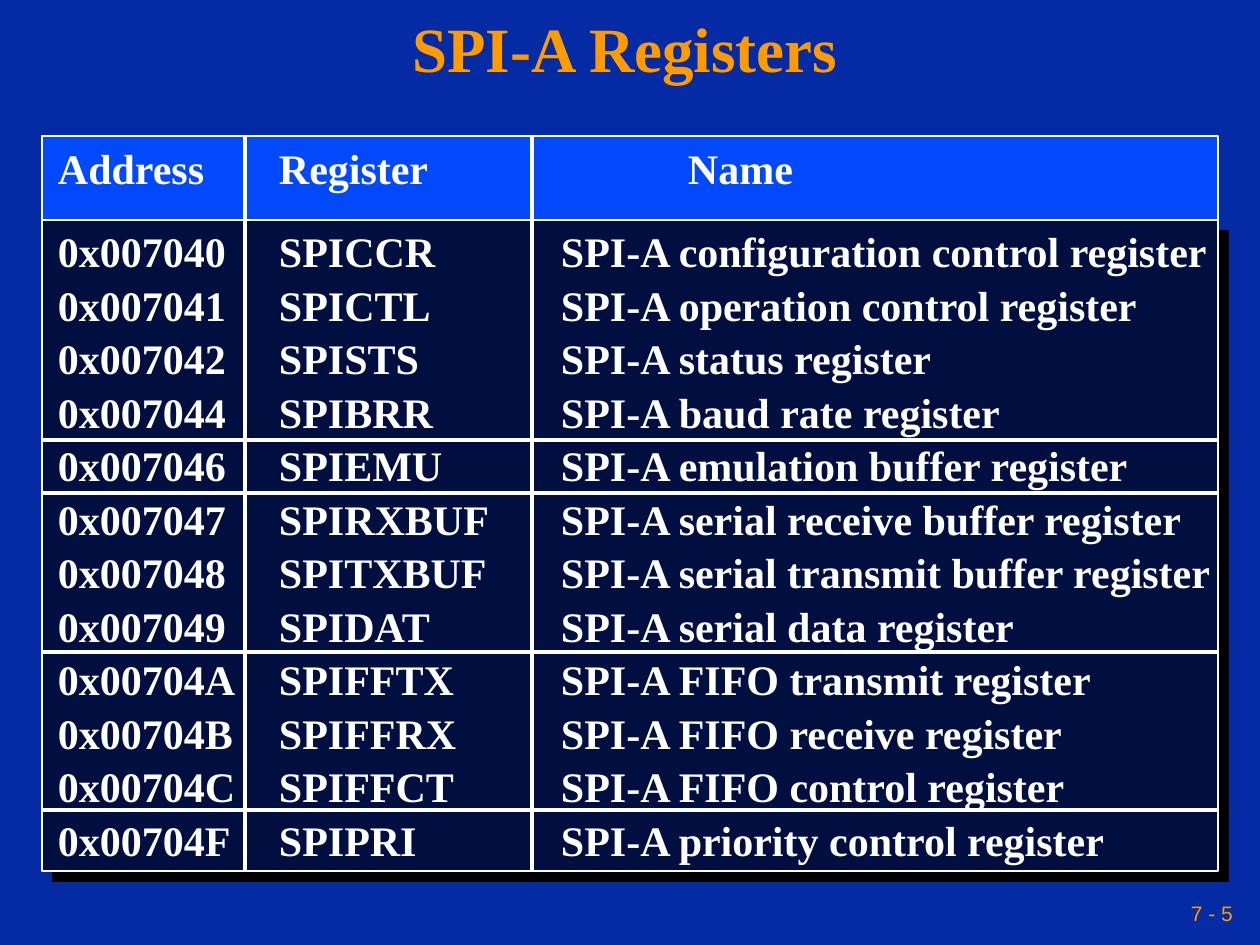
from lxml.etree import SubElement
from pptx import Presentation
from pptx.dml.color import RGBColor
from pptx.enum.shapes import MSO_CONNECTOR as CONNECTOR, MSO_SHAPE as SHAPE
from pptx.enum.text import MSO_ANCHOR as ANCHOR, PP_ALIGN as ALIGN
from pptx.oxml.ns import qn
from pptx.util import Pt

PX = 914400 / 126
ORANGE, WHITE = "FE9B03", "FFFFFF"
SERIF = {"name": "Times New Roman", "bold": True}


def paint(color_format, hex_color):
    color_format.rgb = RGBColor.from_string(hex_color)


def format_text(paragraph, color, font_values, paragraph_values):
    for name, value in paragraph_values.items():
        setattr(paragraph, name, value)
    for name, value in font_values.items():
        setattr(paragraph.font, name, value)
    paint(paragraph.font.color, color)


presentation = Presentation()
presentation.slide_width, presentation.slide_height = round(1260 * PX), round(945 * PX)
slide = presentation.slides.add_slide(presentation.slide_layouts[5])
slide.background.fill.solid()
paint(slide.background.fill.fore_color, "042AA4")

# Header and body panels
panels = []
for top, height, color in [(136, 84, "0249FC"), (220, 651, "000F40")]:
    panel = slide.shapes.add_shape(
        SHAPE.RECTANGLE, *[round(n * PX) for n in (42, top, 1176, height)])
    panel.shadow.inherit = False
    panel.fill.solid()
    paint(panel.fill.fore_color, color)
    paint(panel.line.color, WHITE)
    panel.line.width = Pt(1)
    panels.append(panel)

effects = panels[1].element.spPr.find(qn("a:effectLst"))
shadow = SubElement(effects, qn("a:outerShdw"), dist=str(Pt(8.5)), dir="2700000",
                    algn="ctr", rotWithShape="0")
SubElement(shadow, qn("a:srgbClr"), val="000000")

# Title, register list and page number
title = slide.shapes.title
registers = slide.shapes.add_textbox(0, 0, 0, 0)
page_number = slide.shapes.add_textbox(0, 0, 0, 0)
for shape, box, side, anchor, wrap in [
    (title, (0, 0, 1250, 105), 6, ANCHOR.MIDDLE, True),
    (registers, (45, 136, 1187, 736), 13, ANCHOR.TOP, True),
    (page_number, (861, 892, 378, 42), 6, ANCHOR.MIDDLE, False),
]:
    shape.left, shape.top, shape.width, shape.height = [round(n * PX) for n in box]
    frame = shape.text_frame
    frame.margin_left = frame.margin_right = round(side * PX)
    frame.margin_top = frame.margin_bottom = round(6 * PX)
    frame.vertical_anchor, frame.word_wrap = anchor, wrap

title.text_frame.text = "SPI-A Registers"
format_text(title.text_frame.paragraphs[0], ORANGE, {**SERIF, "size": Pt(36)},
            {"alignment": ALIGN.CENTER, "line_spacing": 0.9})
page_number.text_frame.text = "7 - 5"
format_text(page_number.text_frame.paragraphs[0], ORANGE,
            {"name": "Arial", "size": Pt(12)}, {"alignment": ALIGN.RIGHT})

rows = [
    ("Address", "Register", "Name"),
    ("0x007040", "SPICCR", "SPI-A configuration control register"),
    ("0x007041", "SPICTL", "SPI-A operation control register"),
    ("0x007042", "SPISTS", "SPI-A status register"),
    ("0x007044", "SPIBRR", "SPI-A baud rate register"),
    ("0x007046", "SPIEMU", "SPI-A emulation buffer register"),
    ("0x007047", "SPIRXBUF", "SPI-A serial receive buffer register"),
    ("0x007048", "SPITXBUF", "SPI-A serial transmit buffer register"),
    ("0x007049", "SPIDAT", "SPI-A serial data register"),
    ("0x00704A", "SPIFFTX", "SPI-A FIFO transmit register"),
    ("0x00704B", "SPIFFRX", "SPI-A FIFO receive register"),
    ("0x00704C", "SPIFFCT", "SPI-A FIFO control register"),
    ("0x00704F", "SPIPRI", "SPI-A priority control register"),
]
for index, row in enumerate(rows):
    frame = registers.text_frame
    paragraph = frame.add_paragraph() if index else frame.paragraphs[0]
    paragraph.text = "\t".join(row)
    spacing = {0: 1.0, 1: 1.4}.get(index, 0.8)
    values = {"line_spacing": spacing, "space_before": Pt(7.5 if index else 0)}
    for name, value in values.items():
        setattr(paragraph, name, value)
    tabs = SubElement(paragraph._p.get_or_add_pPr(), qn("a:tabLst"))
    for stop in (221, 503 if index else 630):
        SubElement(tabs, qn("a:tab"), pos=str(round(stop * PX)), algn="l")
    format_text(paragraph, WHITE, {**SERIF, "size": Pt(24)}, {})

# Column and group rules
column_rules = [(245, 137, 245, 872), (532, 137, 532, 872)]
group_rules = [(42, y, 1218, y) for y in (440, 493, 652, 810)]
for ends in column_rules + group_rules:
    rule = slide.shapes.add_connector(CONNECTOR.STRAIGHT, *[round(n * PX) for n in ends])
    paint(rule.line.color, WHITE)
    rule.line.width = Pt(2.25)
    SubElement(rule.element.spPr, qn("a:effectLst"))

presentation.save("out.pptx")
